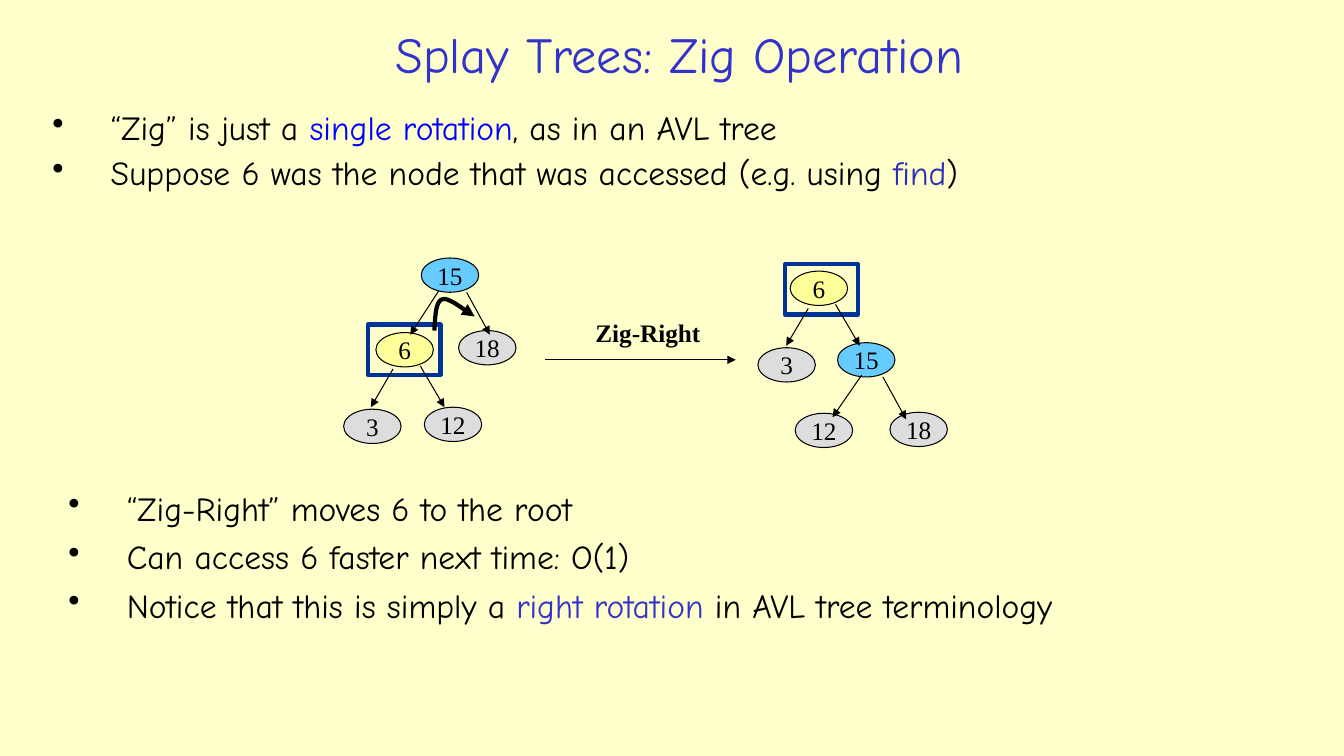
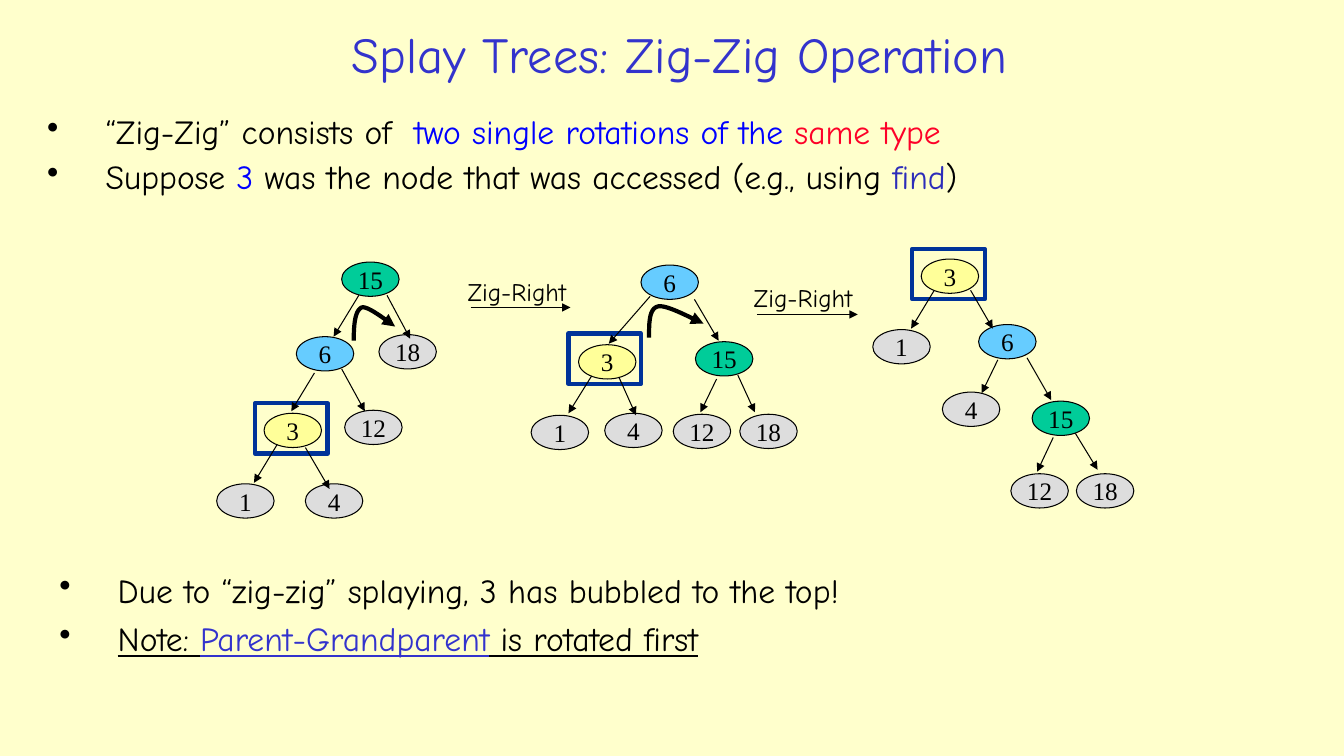
from dataclasses import dataclass, field
from typing import NamedTuple

from lxml import etree
from pptx import Presentation
from pptx import util as u
from pptx.dml import color as dml
from pptx.enum import shapes, text
from pptx.oxml import ns
from pptx.slide import Slide

COLOURS = {
    "paper": "FFFFCC", "ink": "000000", "title": "3333CC", "blue": "0000FF",
    "find": "2D2DB9", "red": "FD0128", "frame": "003399", "sky": "66CCFF",
    "yellow": "FFFF99", "green": "00CC99", "grey": "DDDDDD",
}
HAND, SERIF = "Comic Neue", "Times New Roman"
TITLE = {"name": HAND, "size": u.Pt(36)}
BULLET = {"name": HAND, "size": u.Pt(24)}
NODE = {"name": SERIF, "size": u.Pt(18)}
STEP = {"name": HAND, "size": u.Pt(18)}
BOLD_STEP = {"name": SERIF, "size": u.Pt(18), "bold": True}

NODE_SIZE = (0.57, 0.34)
FRAME_SIZE = (0.72, 0.5)
HANGING = 0.58
CURVE_STEPS = 16


class Span(NamedTuple):
    words: str
    colour: str = "ink"
    underline: bool = False


class Node(NamedTuple):
    label: str
    left: float
    top: float


class Bullets(NamedTuple):
    area: tuple[float, float, float, float]
    paragraphs: list[list[Span]]
    line_spacing: float = 1.0


class Step(NamedTuple):
    """A labelled rotation arrow between two trees."""
    area: tuple[float, float, float, float]
    arrow: tuple[float, float, float, float]
    style: dict


@dataclass
class Tree:
    nodes: list[Node]
    edges: list[tuple[float, float, float, float]]
    frame: tuple[float, float]
    curve: list[tuple[float, float]] = field(default_factory=list)


@dataclass
class Page:
    title: str
    fills: dict[str, str]
    bullets: list[Bullets]
    trees: list[Tree]
    steps: list[Step]


def length(inches: float) -> u.Length:
    return u.Cm(inches * 2.54)


def lengths(values) -> list[u.Length]:
    return [length(value) for value in values]


def rgb(name: str) -> dml.RGBColor:
    return dml.RGBColor.from_string(COLOURS[name])


def apply(target, style: dict) -> None:
    for name, value in style.items():
        setattr(target, name, value)


def write(para, span: Span, style: dict) -> None:
    run = para.add_run()
    run.text = span.words
    apply(run.font, style)
    run.font.color.rgb = rgb(span.colour)
    if span.underline:
        run.font.underline = True


def outline(item, colour: str, points: float, arrow: bool = False) -> None:
    item.line.color.rgb = rgb(colour)
    item.line.width = u.Pt(points)
    if arrow:
        ln = item.line._get_or_add_ln()
        etree.SubElement(ln, ns.qn("a:tailEnd"), type="triangle")


# Text
def add_text(page: Slide, area, span: Span, style: dict, **frame_format) -> None:
    box = page.shapes.add_textbox(*lengths(area))
    apply(box.text_frame, frame_format)
    write(box.text_frame.paragraphs[0], span, style)
    if style is TITLE:
        box.text_frame.paragraphs[0].alignment = text.PP_ALIGN.CENTER


def add_bullets(page: Slide, bullets: Bullets) -> None:
    box = page.shapes.add_textbox(*lengths(bullets.area))
    box.text_frame.word_wrap = True
    for index, spans in enumerate(bullets.paragraphs):
        para = box.text_frame.add_paragraph() if index else box.text_frame.paragraphs[0]
        props = para._p.get_or_add_pPr()
        props.set("marL", str(length(HANGING)))
        props.set("indent", str(-length(HANGING)))
        etree.SubElement(props, ns.qn("a:buChar"), char="•")
        para.line_spacing = bullets.line_spacing
        if index:
            para.space_before = u.Pt(5.8)
        for span in spans:
            write(para, span, BULLET)


# Tree parts
def add_node(page: Slide, node: Node, fill: str) -> None:
    oval = page.shapes.add_shape(
        shapes.MSO_SHAPE.OVAL, *lengths((node.left, node.top, *NODE_SIZE)))
    oval.shadow.inherit = False
    oval.fill.solid()
    oval.fill.fore_color.rgb = rgb(fill)
    outline(oval, "ink", 0.75)
    apply(oval.text_frame, {"word_wrap": False,
                            "vertical_anchor": text.MSO_ANCHOR.MIDDLE})
    para = oval.text_frame.paragraphs[0]
    para.alignment = text.PP_ALIGN.CENTER
    write(para, Span(node.label), NODE)


def add_arrow(page: Slide, ends) -> None:
    arrow = page.shapes.add_connector(shapes.MSO_CONNECTOR.STRAIGHT, *lengths(ends))
    outline(arrow, "ink", 0.75, arrow=True)
    etree.SubElement(arrow._element.spPr, ns.qn("a:effectLst"))


def add_frame(page: Slide, corner) -> None:
    frame = page.shapes.add_shape(
        shapes.MSO_SHAPE.RECTANGLE, *lengths((*corner, *FRAME_SIZE)))
    frame.shadow.inherit = False
    frame.fill.background()
    outline(frame, "frame", 3)


def bezier(p0, p1, p2, p3, t: float) -> tuple[float, float]:
    s = 1 - t
    weights = (s ** 3, 3 * s * s * t, 3 * s * t * t, t ** 3)
    return tuple(sum(w * p[axis] for w, p in zip(weights, (p0, p1, p2, p3)))
                 for axis in (0, 1))


def add_curve(page: Slide, knots) -> None:
    """Draw a chain of cubic curves: a start, then three knots for each curve."""
    points = [bezier(*knots[first:first + 4], step / CURVE_STEPS)
              for first in range(0, len(knots) - 1, 3)
              for step in range(1, CURVE_STEPS + 1)]
    builder = page.shapes.build_freeform(*lengths(knots[0]))
    builder.add_line_segments([lengths(point) for point in points], close=False)
    curve = builder.convert_to_shape()
    curve.shadow.inherit = False
    curve.fill.background()
    outline(curve, "ink", 3, arrow=True)


def add_tree(page: Slide, tree: Tree, fills: dict[str, str]) -> None:
    add_frame(page, tree.frame)
    for node in tree.nodes:
        add_node(page, node, fills.get(node.label, "grey"))
    for edge in tree.edges:
        add_arrow(page, edge)
    if tree.curve:
        add_curve(page, tree.curve)


def add_page(deck, content: Page) -> None:
    page = deck.slides.add_slide(deck.slide_layouts[6])
    add_text(page, (1.97, 0.15, 9.54, 0.76), Span(content.title, "title"), TITLE,
             word_wrap=True, vertical_anchor=text.MSO_ANCHOR.MIDDLE)
    for bullets in content.bullets:
        add_bullets(page, bullets)
    for tree in content.trees:
        add_tree(page, tree, content.fills)
    for step in content.steps:
        add_arrow(page, step.arrow)
        add_text(page, step.area, Span("Zig-Right"), step.style, word_wrap=False)


# Content, measured in inches
ZIG = Page(
    "Splay Trees: Zig Operation",
    {"15": "sky", "6": "yellow"},
    [
        Bullets((0.42, 1.06, 12.38, 1.19), [
            [Span("“Zig” is just a "), Span("single rotation", "blue"),
             Span(", as in an AVL tree")],
            [Span("Suppose 6 was the node that was accessed (e.g. using "),
             Span("find", "find"), Span(")")],
        ], 0.9),
        Bullets((0.58, 4.79, 11.8, 1.77), [
            [Span("“Zig-Right” moves 6 to the root")],
            [Span("Can access 6 faster next time: O(1)")],
            [Span("Notice that this is simply a "), Span("right rotation", "title"),
             Span(" in AVL tree terminology")],
        ]),
    ],
    [
        Tree([Node("15", 4.18, 2.56), Node("6", 3.73, 3.3), Node("18", 4.55, 3.28),
              Node("3", 3.41, 4.06), Node("12", 4.21, 4.04)],
             [(4.35, 2.89, 4.07, 3.32), (4.63, 2.9, 4.86, 3.32),
              (4.17, 3.63, 4.41, 4.04), (3.9, 3.66, 3.68, 4.04)],
             (3.65, 3.22),
             [(4.31, 3.28), (4.32, 3.14), (4.32, 2.99), (4.39, 2.97),
              (4.45, 2.94), (4.65, 3.11), (4.71, 3.14)]),
        Tree([Node("15", 8.31, 3.4), Node("6", 7.84, 2.69), Node("18", 8.83, 4.09),
              Node("3", 7.52, 3.45), Node("12", 7.89, 4.1)],
             [(8.55, 3.72, 8.26, 4.14), (8.76, 3.74, 8.99, 4.16),
              (8.29, 3.02, 8.53, 3.43), (8.02, 3.06, 7.8, 3.43)],
             (7.79, 2.62)),
    ],
    [Step((5.81, 3.1, 1.24, 0.4), (5.41, 3.57, 7.3, 3.57), BOLD_STEP)],
)

ZIG_ZIG = Page(
    "Splay Trees: Zig-Zig Operation",
    {"15": "green", "6": "sky", "3": "yellow"},
    [
        Bullets((0.37, 1.1, 12.53, 1.33), [
            [Span("“Zig-Zig” consists of  "),
             Span("two single rotations of the ", "blue"), Span("same type", "red")],
            [Span("Suppose "), Span("3 ", "blue"),
             Span("was the node that was accessed (e.g., using "),
             Span("find", "find"), Span(")")],
        ], 0.9),
        Bullets((0.49, 5.6, 10.83, 1.25), [
            [Span("Due to “zig-zig” splaying, 3 has bubbled to the top!")],
            [Span("Note: ", "ink", True), Span("Parent-Grandparent", "title", True),
             Span(" is rotated first", "ink", True)],
        ]),
    ],
    [
        Tree([Node("15", 3.39, 2.6), Node("6", 2.94, 3.34), Node("18", 3.76, 3.32),
              Node("3", 2.62, 4.1), Node("12", 3.42, 4.07),
              Node("1", 2.15, 4.8), Node("4", 3.03, 4.8)],
             [(3.56, 2.93, 3.31, 3.34), (3.84, 2.93, 4.07, 3.36),
              (3.39, 3.66, 3.62, 4.08), (3.12, 3.7, 2.89, 4.08),
              (2.75, 4.41, 2.52, 4.79), (3.03, 4.44, 3.27, 4.85)],
             (2.53, 4),
             [(3.51, 3.38), (3.51, 3.23), (3.52, 3.08), (3.59, 3.05),
              (3.65, 3.03), (3.86, 3.2), (3.92, 3.24)]),
        Tree([Node("6", 6.36, 2.63), Node("3", 5.74, 3.42), Node("15", 6.9, 3.39),
              Node("1", 5.27, 4.12), Node("4", 6, 4.1),
              Node("12", 6.68, 4.11), Node("18", 7.34, 4.11)],
             [(6.89, 2.97, 7.13, 3.38), (6.45, 2.94, 6.04, 3.41),
              (5.87, 3.73, 5.64, 4.1), (6.14, 3.74, 6.31, 4.12),
              (7.11, 3.76, 6.95, 4.09), (7.32, 3.72, 7.49, 4.09)],
             (5.64, 3.31),
             [(6.44, 3.35), (6.44, 3.2), (6.44, 3.06), (6.53, 3.04),
              (6.62, 3.02), (6.9, 3.18), (6.98, 3.21)]),
        Tree([Node("3", 9.14, 2.57), Node("1", 8.66, 3.27), Node("6", 9.71, 3.22),
              Node("4", 9.35, 3.89), Node("15", 10.24, 3.98),
              Node("12", 10.03, 4.7), Node("18", 10.68, 4.7)],
             [(9.27, 2.88, 9.04, 3.26), (9.63, 2.88, 9.85, 3.26),
              (9.9, 3.57, 9.74, 3.9), (10.19, 3.55, 10.43, 3.97),
              (10.45, 4.34, 10.29, 4.68), (10.67, 4.3, 10.89, 4.66)],
             (9.05, 2.47)),
    ],
    [
        Step((4.54, 2.69, 1.35, 0.4), (4.67, 3.05, 5.66, 3.05), STEP),
        Step((7.38, 2.75, 1.35, 0.4), (7.51, 3.12, 8.51, 3.12), STEP),
    ],
)


def main() -> None:
    deck = Presentation()
    deck.slide_width, deck.slide_height = u.Cm(33.87), u.Cm(19.05)
    paper = deck.slide_master.background.fill
    paper.solid()
    paper.fore_color.rgb = rgb("paper")
    for content in (ZIG, ZIG_ZIG):
        add_page(deck, content)
    deck.save("out.pptx")


if __name__ == "__main__":
    main()
